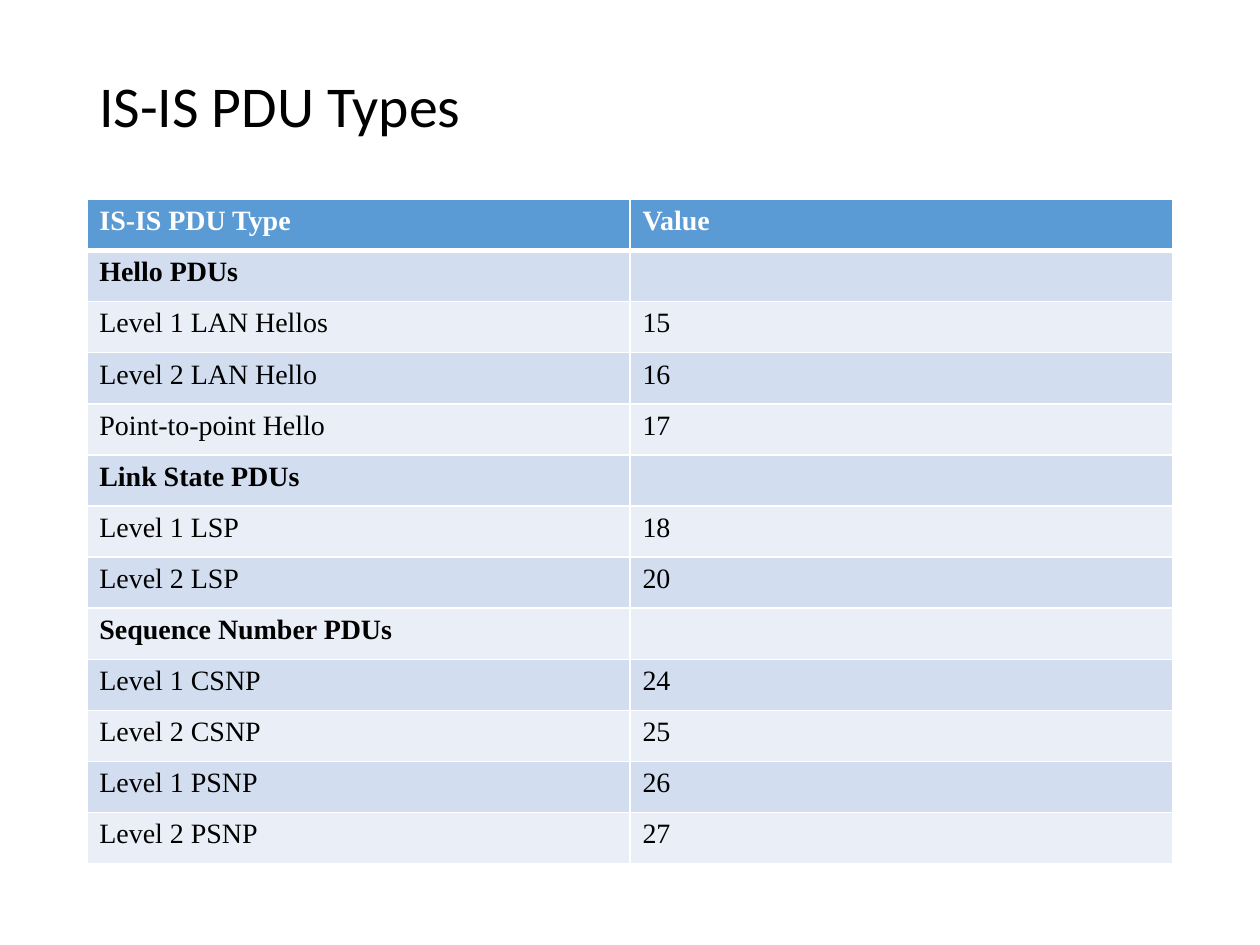
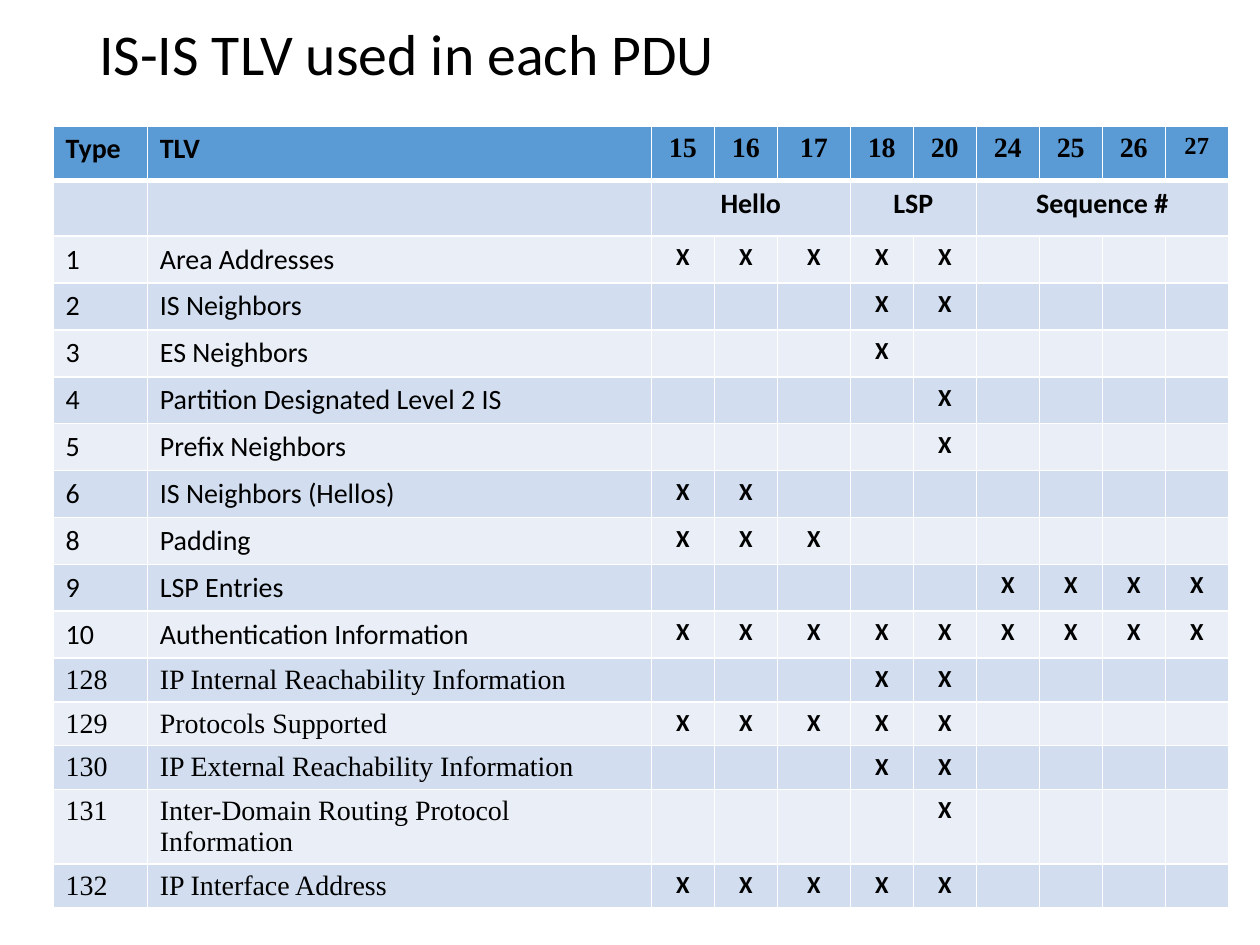
from lxml import etree
from pptx import Presentation
from pptx.dml.color import RGBColor
from pptx.enum.text import MSO_ANCHOR, MSO_AUTO_SIZE, PP_ALIGN
from pptx.oxml.ns import qn
from pptx.util import Cm, Pt

LEFT, CENTER = PP_ALIGN.LEFT, PP_ALIGN.CENTER
MIDDLE, FIXED = MSO_ANCHOR.MIDDLE, MSO_AUTO_SIZE.NONE

BLUE = RGBColor(0x5B, 0x9B, 0xD5)
DARK = RGBColor(0xD2, 0xDE, 0xEF)
PALE = RGBColor(0xEA, 0xEF, 0xF7)
WHITE = RGBColor(0xFF, 0xFF, 0xFF)
BLACK = RGBColor(0, 0, 0)

SANS, SERIF = "Calibri", "Times New Roman"
TITLE = {"name": SANS, "size": Pt(33), "bold": False}
PLAIN = {"name": SANS, "size": Pt(16), "bold": False}
BOLD = {**PLAIN, "bold": True}
MARK = {**BOLD, "size": Pt(14)}
ROMAN = {**PLAIN, "name": SERIF}
STRONG = {**BOLD, "name": SERIF}
SMALL = {**STRONG, "size": Pt(14)}

PDUS = [
    ("IS-IS PDU Type", "Value"),
    ("Hello PDUs", ""),
    ("Level 1 LAN Hellos", "15"),
    ("Level 2 LAN Hello", "16"),
    ("Point-to-point Hello", "17"),
    ("Link State PDUs", ""),
    ("Level 1 LSP", "18"),
    ("Level 2 LSP", "20"),
    ("Sequence Number PDUs", ""),
    ("Level 1 CSNP", "24"),
    ("Level 2 CSNP", "25"),
    ("Level 1 PSNP", "26"),
    ("Level 2 PSNP", "27"),
]

CODES = ["15", "16", "17", "18", "20", "24", "25", "26", "27"]
GROUPS = [("Hello", 2, 4), ("LSP", 5, 6), ("Sequence #", 7, 10)]
TLVS = [
    ("1", "Area Addresses", "15 16 17 18 20"),
    ("2", "IS Neighbors", "18 20"),
    ("3", "ES Neighbors", "18"),
    ("4", "Partition Designated Level 2 IS", "20"),
    ("5", "Prefix Neighbors", "20"),
    ("6", "IS Neighbors (Hellos)", "15 16"),
    ("8", "Padding", "15 16 17"),
    ("9", "LSP Entries", "24 25 26 27"),
    ("10", "Authentication Information", "15 16 17 18 20 24 25 26 27"),
    ("128", "IP Internal Reachability Information", "18 20"),
    ("129", "Protocols Supported", "15 16 17 18 20"),
    ("130", "IP External Reachability Information", "18 20"),
    ("131", "Inter-Domain Routing Protocol Information", "20"),
    ("132", "IP Interface Address", "15 16 17 18 20"),
]


def style(font, look, color):
    for key, value in look.items():
        setattr(font, key, value)
    font.color.rgb = color


def add_page(deck, text, top, height):
    page = deck.slides.add_slide(deck.slide_layouts[5])
    title = page.shapes.title
    title.left, title.top = Cm(1.75), Cm(top)
    title.width, title.height = Cm(21.9), Cm(height)
    frame = title.text_frame
    frame.auto_size = FIXED
    frame.vertical_anchor = MIDDLE
    frame.word_wrap = True
    para = frame.paragraphs[0]
    para.alignment = LEFT
    para.line_spacing = 0.9
    run = para.add_run()
    run.text = text
    style(run.font, TITLE, BLACK)
    return page


def add_edges(cell, row):
    props = cell._tc.get_or_add_tcPr()
    thick = {"lnT": 3 if row == 1 else 1, "lnB": 3 if row == 0 else 1}
    for spot, side in enumerate(("lnL", "lnR", "lnT", "lnB")):
        line = etree.Element(qn(f"a:{side}"), w=str(Pt(thick.get(side, 1))))
        fill = etree.SubElement(line, qn("a:solidFill"))
        etree.SubElement(fill, qn("a:srgbClr"), val=str(WHITE))
        props.insert(spot, line)


def add_grid(page, left, top, widths, heights):
    frame = page.shapes.add_table(
        len(heights), len(widths), Cm(left), Cm(top),
        Cm(sum(widths)), Cm(sum(heights)))
    grid = frame.table
    for col, width in zip(grid.columns, widths):
        col.width = Cm(width)
    for index, height in enumerate(heights):
        grid.rows[index].height = Cm(height)
        for cell in grid.rows[index].cells:
            cell.fill.solid()
            cell.fill.fore_color.rgb = (
                BLUE if index == 0 else DARK if index % 2 else PALE)
            add_edges(cell, index)
    return grid


def write(cell, text, look, color=BLACK, align=LEFT):
    para = cell.text_frame.paragraphs[0]
    para.alignment = align
    if text:
        run = para.add_run()
        run.text = text
        style(run.font, look, color)
    else:
        size = str(int(look["size"].pt * 100))
        etree.SubElement(para._p, qn("a:endParaRPr"), sz=size)


def add_types(deck):
    page = add_page(deck, "IS-IS PDU Types", 1.02, 2.36)
    grid = add_grid(page, 1.75, 4.02, [10.95] * 2, [1.03] * len(PDUS))
    for row, (name, value) in enumerate(PDUS):
        look = STRONG if row == 0 or not value else ROMAN
        color = WHITE if row == 0 else BLACK
        write(grid.cell(row, 0), name, look, color)
        write(grid.cell(row, 1), value, look, color)


def add_usage(deck):
    page = add_page(deck, "IS-IS TLV used in each PDU", 0.2, 1.9)
    widths = [1.9, 10.16] + [1.47 if code == "17" else 1.27 for code in CODES]
    heights = [1.1, 1.12] + [0.94] * 9 + [0.88] * 3 + [1.51, 0.88]
    grid = add_grid(page, 1.07, 2.54, widths, heights)
    for col, text in enumerate(("Type", "TLV")):
        write(grid.cell(0, col), text, BOLD)
        write(grid.cell(1, col), "", BOLD)
    for col, code in enumerate(CODES, 2):
        look = SMALL if code == CODES[-1] else STRONG
        write(grid.cell(0, col), code, look, align=CENTER)
    for text, first, last in GROUPS:
        grid.cell(1, first).merge(grid.cell(1, last))
        write(grid.cell(1, first), text, BOLD, align=CENTER)
    for row, (kind, name, used) in enumerate(TLVS, 2):
        look = ROMAN if int(kind) >= 128 else PLAIN
        write(grid.cell(row, 0), kind, look)
        write(grid.cell(row, 1), name, look)
        for col, code in enumerate(CODES, 2):
            mark = "X" if code in used.split() else ""
            write(grid.cell(row, col), mark, MARK, align=CENTER)


def main():
    deck = Presentation()
    deck.slide_width, deck.slide_height = Cm(25.4), Cm(19.05)
    add_types(deck)
    add_usage(deck)
    deck.save("out.pptx")


if __name__ == "__main__":
    main()
